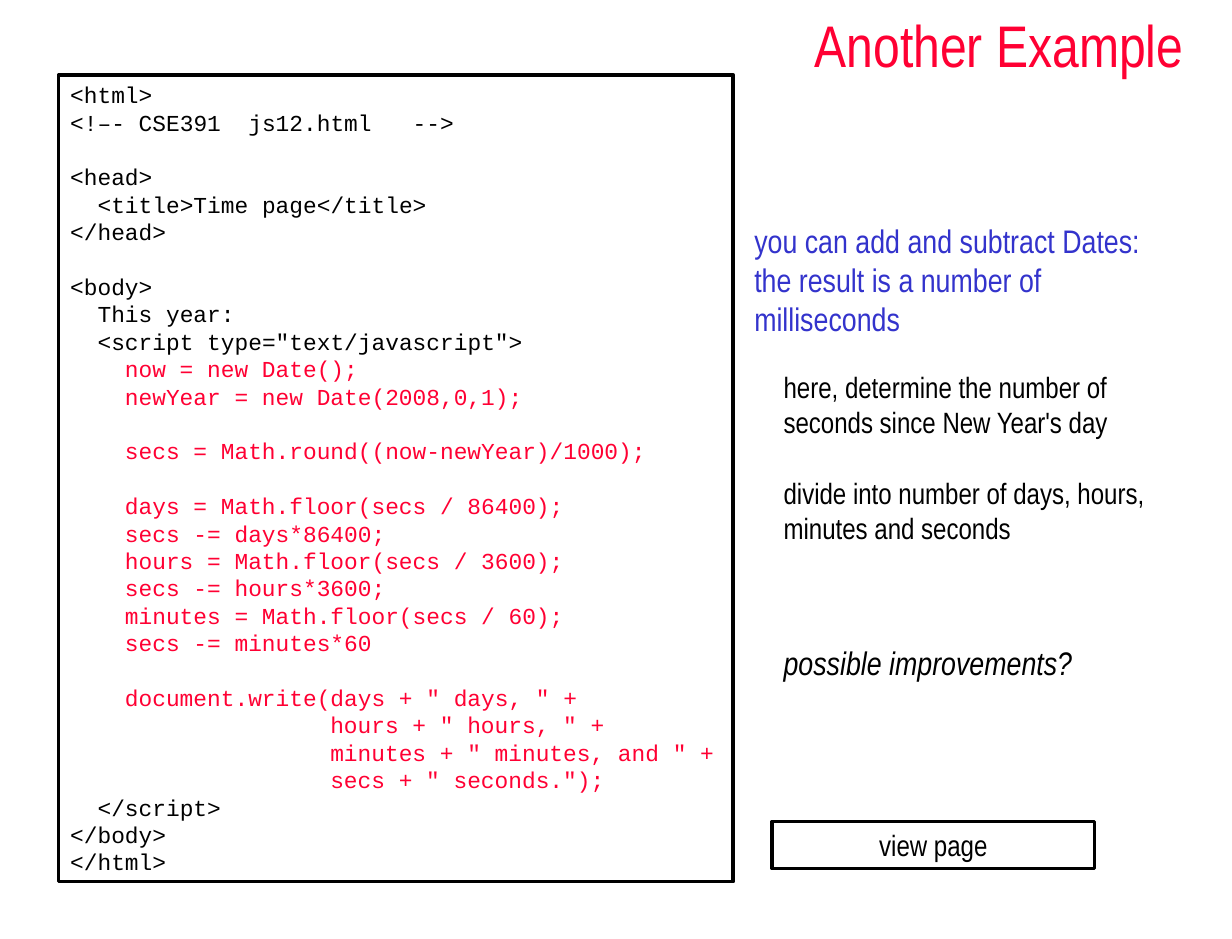
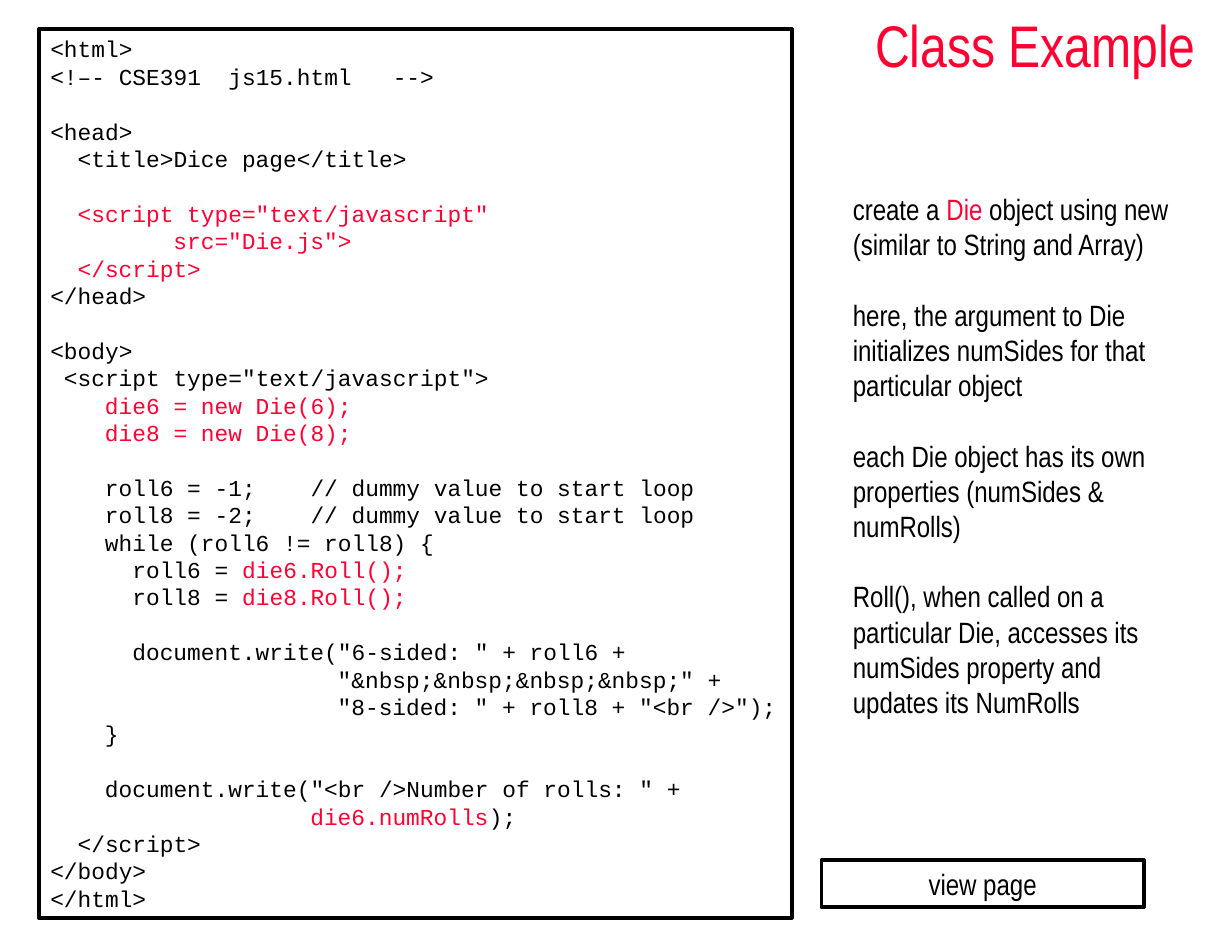
from dataclasses import dataclass

from pptx import Presentation
from pptx.dml.color import RGBColor
from pptx.enum.shapes import MSO_SHAPE
from pptx.enum.text import MSO_ANCHOR, PP_ALIGN
from pptx.util import Emu, Pt

RECT = MSO_SHAPE.RECTANGLE
TOP, MIDDLE = MSO_ANCHOR.TOP, MSO_ANCHOR.MIDDLE
LEFT, CENTER = PP_ALIGN.LEFT, PP_ALIGN.CENTER
SCALE = 9144
BLANK = 6
MARK = "~"


@dataclass(frozen=True)
class Theme:
    ink: str = "000000"
    red: str = "FF0033"
    blue: str = "3333CC"
    sans: str = "Arial Narrow"
    mono: str = "Courier New"
    title: int = 36
    lead: int = 20
    body: int = 18
    code: int = 14
    line: float = 2.25
    pitch: float = 1.2
    advance: float = 0.6


THEME = Theme()

TIME_CODE = """<html>
<!–- CSE391  js12.html   -->

<head>
  <title>Time page</title>
</head>

<body>
  This year:
  <script type="text/javascript">
    ~now = new Date();
    ~newYear = new Date(2008,0,1);

    ~secs = Math.round((now-newYear)/1000);

    ~days = Math.floor(secs / 86400);
    ~secs -= days*86400;
    ~hours = Math.floor(secs / 3600);
    ~secs -= hours*3600;
    ~minutes = Math.floor(secs / 60);
    ~secs -= minutes*60

    ~document.write(days + " days, " +
                   ~hours + " hours, " +
                   ~minutes + " minutes, and " +
                   ~secs + " seconds.");
  </script>
</body>
</html>"""

DICE_CODE = """<html>
<!–- CSE391  js15.html   -->

<head>
  <title>Dice page</title>

  ~<script type="text/javascript"
         ~src="Die.js">
  ~</script>
</head>

<body>
 <script type="text/javascript">
    ~die6 = new Die(6);
    ~die8 = new Die(8);

    roll6 = -1;    // dummy value to start loop
    roll8 = -2;    // dummy value to start loop
    while (roll6 != roll8) {
      roll6 = ~die6.Roll();
      roll8 = ~die8.Roll();

      document.write("6-sided: " + roll6 +
                     "&nbsp;&nbsp;&nbsp;&nbsp;" +
                     "8-sided: " + roll8 + "<br />");
    }

    document.write("<br />Number of rolls: " +
                   ~die6.numRolls~);
  </script>
</body>
</html>"""

LEAD = dict(size=THEME.lead, color=THEME.blue)
SUB = dict(indent=18)

TIME_NOTES = [
    ("you can add and subtract Dates:", LEAD),
    ("the result is a number of milliseconds", LEAD),
    ("here, determine the number of seconds since New Year's day", dict(SUB, gap=19.2)),
    ("divide into number of days, hours, minutes and seconds", dict(SUB, gap=21.6)),
    ("possible improvements?", dict(SUB, gap=60, size=THEME.lead, italic=True)),
]

DICE_NOTES = [
    ("create a ~Die~ object using new (similar to String and Array)", {}),
    ("here, the argument to Die initializes numSides for that particular object", dict(gap=21.6)),
    ("each Die object has its own properties (numSides & numRolls)", dict(gap=21.6)),
    ("Roll(), when called on a particular Die, accesses its numSides property "
     "and updates its NumRolls", dict(gap=21.6)),
]


def write(frame, text, font=THEME.sans, size=THEME.body, color=THEME.ink,
          align=LEFT, gap=0, indent=0, italic=False):
    para = frame.paragraphs[0]
    if para.runs:
        para = frame.add_paragraph()
    para.alignment = align
    para.line_spacing = Pt(size * THEME.pitch)
    para.space_before = Pt(gap)
    props = para._p.get_or_add_pPr()
    props.set("marL", str(int(Pt(indent))))
    props.set("indent", "0")
    for index, part in enumerate(text.split(MARK)):
        if part:
            run = para.add_run()
            run.text = part
            run.font.name = font
            run.font.size = Pt(size)
            run.font.italic = italic
            run.font.color.rgb = RGBColor.from_string(THEME.red if index % 2 else color)


def frame_in(slide, box, framed=False, anchor=TOP):
    place = [Emu(length * SCALE) for length in box]
    if framed:
        shape = slide.shapes.add_shape(RECT, *place)
        shape.shadow.inherit = False
        shape.fill.background()
        shape.line.color.rgb = RGBColor.from_string(THEME.ink)
        shape.line.width = Pt(THEME.line)
    else:
        shape = slide.shapes.add_textbox(*place)
    frame = shape.text_frame
    frame.word_wrap = True
    frame.vertical_anchor = anchor
    return frame


def add_title(slide, box, text):
    frame = frame_in(slide, box, anchor=MIDDLE)
    write(frame, text, size=THEME.title, color=THEME.red, align=CENTER)


def add_code(slide, box, code):
    frame = frame_in(slide, box, framed=True)
    gap = 0
    for line in code.splitlines():
        if not line:
            gap += THEME.code * THEME.pitch
            continue
        text = line.lstrip()
        indent = (len(line) - len(text)) * THEME.code * THEME.advance
        write(frame, text, font=THEME.mono, size=THEME.code, gap=gap, indent=indent)
        gap = 0


def add_notes(slide, box, notes):
    frame = frame_in(slide, box)
    for text, style in notes:
        write(frame, text, **style)


def add_button(slide, left, top):
    frame = frame_in(slide, (left, top, 275, 40), framed=True)
    write(frame, "view page", align=CENTER)


def add_example(deck, title, head, code, code_box, notes, note_box, button):
    slide = deck.slides.add_slide(deck.slide_layouts[BLANK])
    add_title(slide, head, title)
    add_code(slide, code_box, code)
    add_notes(slide, note_box, notes)
    add_button(slide, *button)


def main():
    deck = Presentation()
    deck.slide_width = Emu(1050 * SCALE)
    deck.slide_height = Emu(800 * SCALE)
    add_example(deck, "Another Example", (653, 0, 397, 75),
                TIME_CODE, (50, 64, 575, 687),
                TIME_NOTES, (633, 183, 392, 404), (658, 700))
    add_example(deck, "Class Example", (715, 0, 335, 75),
                DICE_CODE, (33, 25, 642, 757),
                DICE_NOTES, (717, 158, 300, 460), (700, 733))
    deck.save("out.pptx")


if __name__ == "__main__":
    main()
